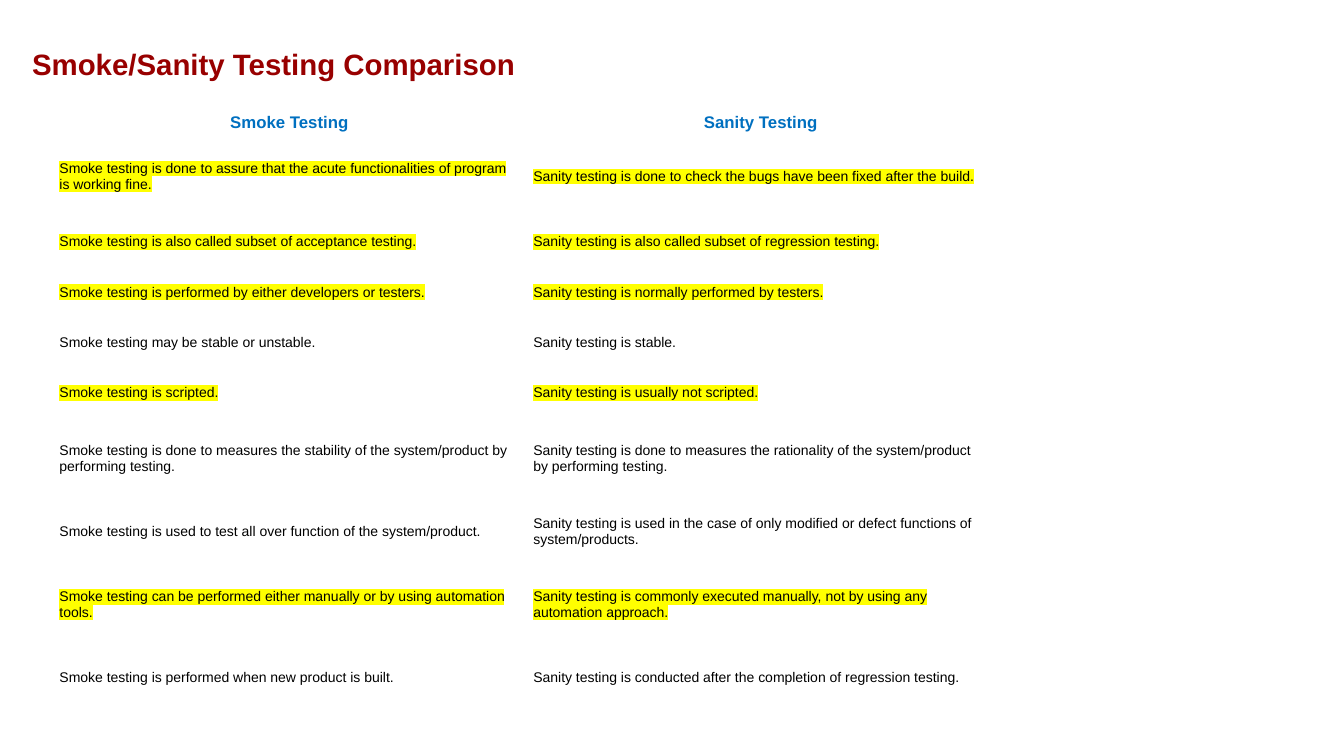
from lxml.etree import SubElement
from pptx import Presentation
from pptx.dml.color import RGBColor
from pptx.enum.text import MSO_ANCHOR, PP_ALIGN
from pptx.oxml.ns import qn
from pptx.util import Inches, Pt

HEADS = ("Smoke Testing", "Sanity Testing")
WIDTHS = (4.7, 4.65)
ROWS = [
    (0.8, True,
     "Smoke testing is done to assure that the acute functionalities of program is working fine.",
     "Sanity testing is done to check the bugs have been fixed after the build."),
    (0.5, True,
     "Smoke testing is also called subset of acceptance testing.",
     "Sanity testing is also called subset of regression testing."),
    (0.5, True,
     "Smoke testing is performed by either developers or testers.",
     "Sanity testing is normally performed by testers."),
    (0.5, False,
     "Smoke testing may be stable or unstable.",
     "Sanity testing is stable."),
    (0.5, True,
     "Smoke testing is scripted.",
     "Sanity testing is usually not scripted."),
    (0.8, False,
     "Smoke testing is done to measures the stability of the system/product by performing testing.",
     "Sanity testing is done to measures the rationality of the system/product by performing testing."),
    (0.65, False,
     "Smoke testing is used to test all over function of the system/product.",
     "Sanity testing is used in the case of only modified or defect functions of system/products."),
    (0.8, True,
     "Smoke testing can be performed either manually or by using automation tools.",
     "Sanity testing is commonly executed manually, not by using any automation approach."),
    (0.65, False,
     "Smoke testing is performed when new product is built.",
     "Sanity testing is conducted after the completion of regression testing."),
]


def color(code):
    return RGBColor.from_string(code)


def write(frame, text, size=10, ink="000000", bold=False, align=PP_ALIGN.LEFT, mark=None):
    para = frame.paragraphs[0]
    para.alignment = align
    run = para.add_run()
    run.text = text
    font = run.font
    font.size = Pt(size)
    font.bold = bold
    font.color.rgb = color(ink)
    if mark:
        tag = SubElement(font._element, qn("a:highlight"))
        SubElement(tag, qn("a:srgbClr"), val=mark)
    font.name = "Arial"


def add_title(slide, text):
    box = slide.shapes.add_textbox(Inches(0.22), Inches(0.36), Inches(9.56), Inches(0.56))
    frame = box.text_frame
    frame.word_wrap = True
    frame.margin_left = frame.margin_right = Inches(0.1)
    frame.margin_top = frame.margin_bottom = Inches(0.1)
    write(frame, text, size=21, ink="980000", bold=True)


def fill_cell(cell, text, pad=0.1, **style):
    cell.fill.solid()
    cell.fill.fore_color.rgb = color("FFFFFF")
    cell.vertical_anchor = MSO_ANCHOR.MIDDLE
    cell.margin_left = cell.margin_right = Inches(0.07)
    cell.margin_top = cell.margin_bottom = Inches(pad)
    write(cell.text_frame, text, **style)


def add_grid(slide):
    highs = [0.24] + [row[0] for row in ROWS]
    table = slide.shapes.add_table(
        len(highs), len(WIDTHS), Inches(0.52), Inches(1.09),
        Inches(sum(WIDTHS)), Inches(sum(highs))).table
    table.first_row = table.horz_banding = False
    for col, width in zip(table.columns, WIDTHS):
        col.width = Inches(width)
    for row, high in zip(table.rows, highs):
        row.height = Inches(high)
    for col, head in enumerate(HEADS):
        fill_cell(table.cell(0, col), head, pad=0.03, size=12, ink="0070C0",
                  bold=True, align=PP_ALIGN.CENTER)
    for row, (_, marked, *texts) in enumerate(ROWS, 1):
        for col, text in enumerate(texts):
            fill_cell(table.cell(row, col), text, mark="FFFF00" if marked else None)


def main():
    deck = Presentation()
    deck.slide_width = Inches(13.33)
    deck.slide_height = Inches(7.5)
    slide = deck.slides.add_slide(deck.slide_layouts[6])
    add_title(slide, "Smoke/Sanity Testing Comparison")
    add_grid(slide)
    deck.save("out.pptx")


if __name__ == "__main__":
    main()
